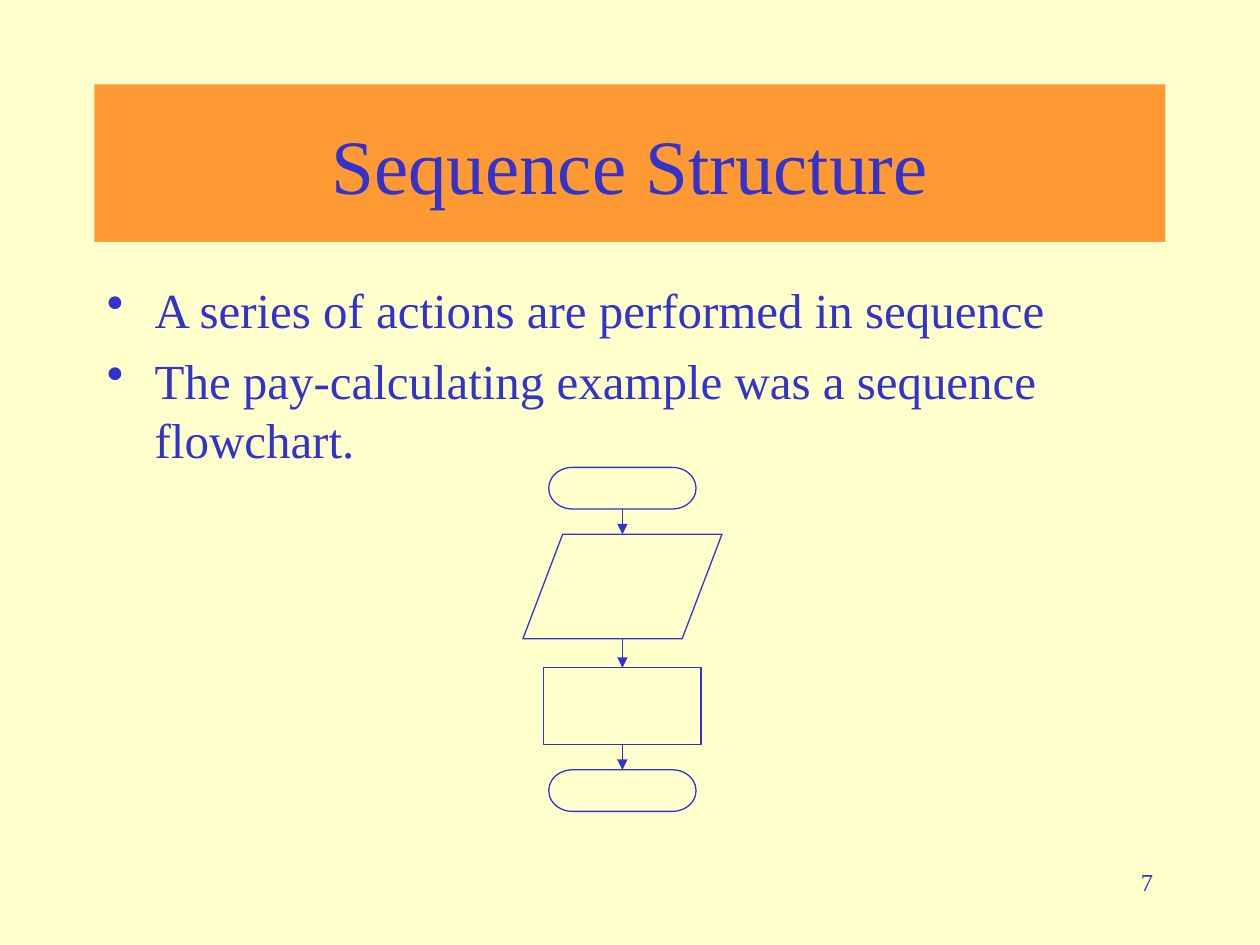
from lxml.etree import SubElement
from pptx import Presentation
from pptx.dml.color import RGBColor
from pptx.enum.shapes import MSO_CONNECTOR, MSO_SHAPE
from pptx.enum.text import MSO_ANCHOR, PP_ALIGN
from pptx.oxml.ns import qn
from pptx.util import Inches, Pt

TITLE = "Sequence Structure"
POINTS = [
    "A series of actions are performed in sequence",
    "The pay-calculating example was a sequence flowchart.",
]
PAGE = "7"
COLORS = {"back": "FFFFCC", "band": "FF9933", "ink": "3333CC"}
FONT = "Times New Roman"

WIDE, HIGH = 10, 7.5
EDGE = 0.075 * WIDE
SPAN = WIDE - 2 * EDGE
AXIS = 4.94
TERM, DATA, BOX = (MSO_SHAPE.FLOWCHART_TERMINATOR, MSO_SHAPE.FLOWCHART_DATA,
                   MSO_SHAPE.RECTANGLE)
# kind, top, width, height
STEPS = [
    (TERM, 3.71, 1.17, 0.33),
    (DATA, 4.24, 1.58, 0.83),
    (BOX, 5.3, 1.25, 0.61),
    (TERM, 6.11, 1.17, 0.33),
]


def color(name):
    return RGBColor.from_string(COLORS[name])


def style(para, text, size, align=PP_ALIGN.LEFT):
    para.text = text
    para.alignment = align
    para.font.name = FONT
    para.font.size = Pt(size)
    para.font.color.rgb = color("ink")


def bullet(para):
    props = para._p.get_or_add_pPr()
    props.set("marL", str(Inches(0.38)))
    props.set("indent", str(Inches(-0.38)))
    SubElement(props, qn("a:buChar"), char="•")


def text_box(left, top, width, height):
    box = slide.shapes.add_textbox(*map(Inches, (left, top, width, height)))
    box.text_frame.word_wrap = True
    return box


def add_step(kind, top, width, height):
    left = AXIS - width / 2
    step = slide.shapes.add_shape(kind, *map(Inches, (left, top, width, height)))
    step.shadow.inherit = False
    step.fill.background()
    step.line.color.rgb = color("ink")
    step.line.width = Pt(0.75)
    return step


def add_arrow(start, end):
    """Join two steps from bottom to top along the axis."""
    x = Inches(AXIS)
    arrow = slide.shapes.add_connector(
        MSO_CONNECTOR.STRAIGHT, x, start.top + start.height, x, end.top)
    if start.auto_shape_type != DATA:
        arrow.begin_connect(start, 2)
    if end.auto_shape_type != DATA:
        arrow.end_connect(end, 0)
    arrow.line.color.rgb = color("ink")
    arrow.line.width = Pt(0.75)
    SubElement(arrow.line._get_or_add_ln(), qn("a:tailEnd"), type="triangle")
    SubElement(arrow._element.spPr, qn("a:effectLst"))


deck = Presentation()
deck.slide_width, deck.slide_height = Inches(WIDE), Inches(HIGH)
slide = deck.slides.add_slide(deck.slide_layouts[6])
slide.background.fill.solid()
slide.background.fill.fore_color.rgb = color("back")

page = text_box(7.17, 6.83, 2.08, 0.5)
style(page.text_frame.paragraphs[0], PAGE, 14, PP_ALIGN.RIGHT)

band = text_box(EDGE, 0.67, SPAN, 1.25)
band.fill.solid()
band.fill.fore_color.rgb = color("band")
band.text_frame.vertical_anchor = MSO_ANCHOR.MIDDLE
style(band.text_frame.paragraphs[0], TITLE, 44, PP_ALIGN.CENTER)

body = text_box(EDGE, 2.17, SPAN, 4.5).text_frame
for i, point in enumerate(POINTS):
    para = body.add_paragraph() if i else body.paragraphs[0]
    style(para, point, 28)
    para.space_before = Pt(7)
    bullet(para)

steps = [add_step(*step) for step in STEPS]
for start, end in zip(steps, steps[1:]):
    add_arrow(start, end)

deck.save("out.pptx")
